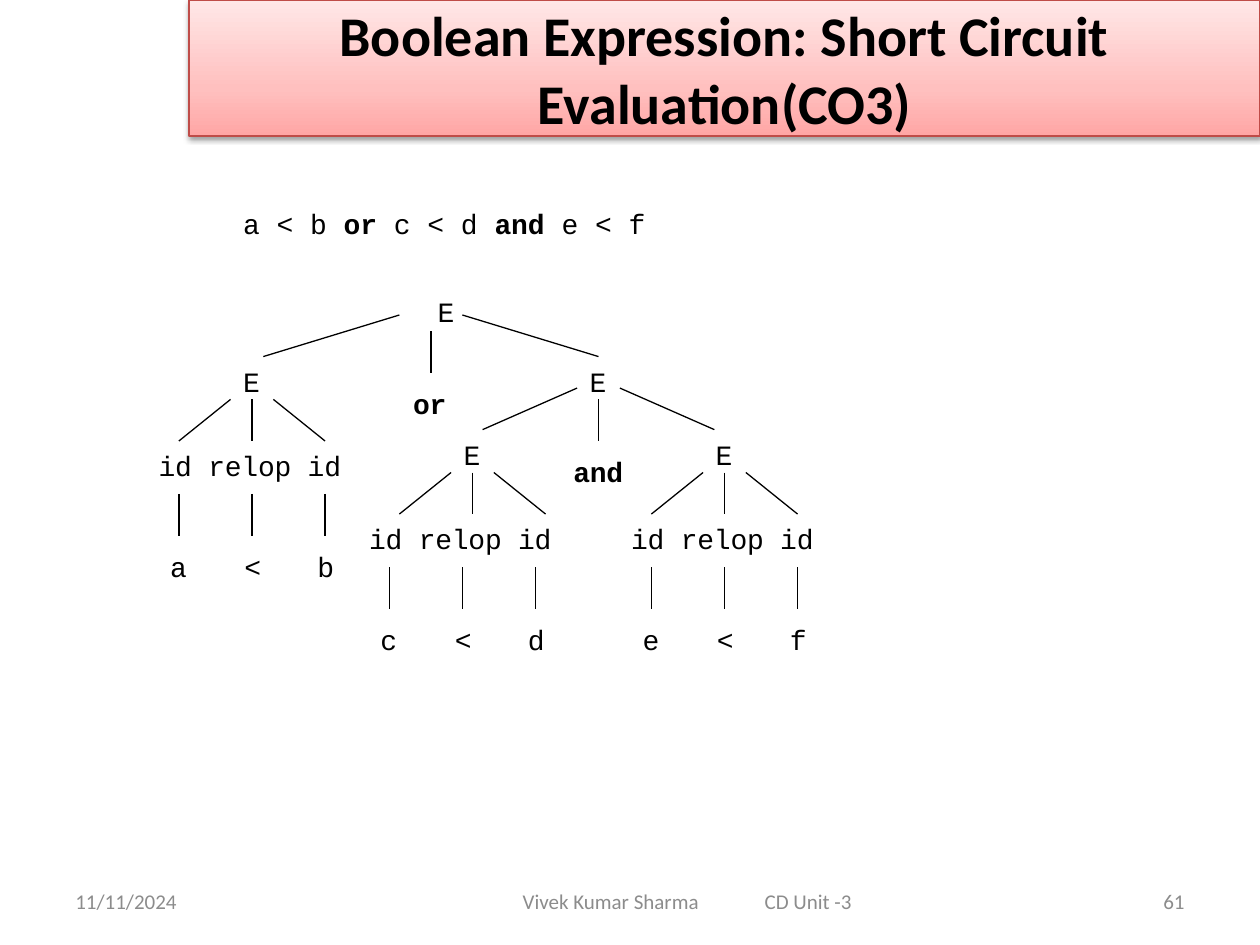
import copy
from dataclasses import dataclass

import lxml.etree
import pptx
import pptx.dml.color
import pptx.enum.shapes
import pptx.enum.text
import pptx.oxml.ns
import pptx.util

Inches = pptx.util.Inches
Pt = pptx.util.Pt
Align = pptx.enum.text.PP_ALIGN
Anchor = pptx.enum.text.MSO_ANCHOR
qn = pptx.oxml.ns.qn


@dataclass(frozen=True)
class Theme:
    """Colours, fonts and sizes of the slide."""
    ink: str = "000000"
    muted: str = "8C8C8C"
    title_line: str = "BF4C48"
    title_stops: tuple = ((0, "FFA6A5"), (0.35, "FFC0BF"), (1, "FFE7E7"))
    body_font: str = "Calibri"
    code_font: str = "Courier New"
    title_size: int = 32
    code_size: int = 16
    footer_size: int = 12
    line_width: float = 0.75


THEME = Theme()
EDGE_HEIGHT = 0.33
LABEL_HEIGHT = 0.29


def rgb(value):
    """Return a colour from its hex digits."""
    return pptx.dml.color.RGBColor.from_string(value)


def add_span(para, text, font, size, color, bold=False, tight=False):
    """Append one formatted run to a paragraph."""
    span = para.add_run()
    span.text = text
    span.font.name = font
    span.font.size = Pt(size)
    span.font.bold = bold
    span.font.color.rgb = rgb(color)
    if tight:
        span._r.get_or_add_rPr().set("spc", "-10")


def add_tabs(para, stops):
    """Give a paragraph left tab stops, in inches."""
    tabs = lxml.etree.SubElement(para._p.get_or_add_pPr(), qn("a:tabLst"))
    for stop in stops:
        lxml.etree.SubElement(tabs, qn("a:tab"), pos=str(Inches(stop)), algn="l")


def add_box(slide, left, top, width, height):
    """Add a wrapping text box and return its text frame."""
    box = slide.shapes.add_textbox(Inches(left), Inches(top), Inches(width), Inches(height))
    box.text_frame.word_wrap = True
    return box.text_frame


def add_code_box(slide, left, top, width, height=LABEL_HEIGHT):
    """Add a text box with the narrow insets of the tree labels."""
    frame = add_box(slide, left, top, width, height)
    frame.margin_left, frame.margin_top = Inches(0.01), Inches(0.02)
    frame.margin_right = frame.margin_bottom = 0
    return frame


def add_code(para, text, bold=False, tight=False):
    """Append a run in the code style."""
    add_span(para, text, THEME.code_font, THEME.code_size, THEME.ink, bold, tight)


def add_label(slide, left, top, width, text, bold=False, tight=False, tabs=()):
    """Add a one-line tree label."""
    para = add_code_box(slide, left, top, width).paragraphs[0]
    if tabs:
        add_tabs(para, tabs)
    add_code(para, text, bold, tight)


def add_edge(slide, start_x, end_x, top):
    """Draw a tree edge of the common height, downward from top."""
    edge = slide.shapes.add_connector(
        pptx.enum.shapes.MSO_CONNECTOR.STRAIGHT,
        Inches(start_x), Inches(top), Inches(end_x), Inches(top + EDGE_HEIGHT))
    edge.line.color.rgb = rgb(THEME.ink)
    edge.line.width = Pt(THEME.line_width)
    lxml.etree.SubElement(edge._element.spPr, qn("a:effectLst"))


def add_branches(slide, centre, top, inner, outer, drop=0):
    """Draw the three edges from a node to its children."""
    for side in (-1, 1):
        add_edge(slide, centre + side * inner, centre + side * outer, top)
    add_edge(slide, centre, centre, top + drop)


def add_node(slide, centre, top):
    """Add an expression node centred on a column."""
    add_label(slide, centre - 0.08, top, 0.16, "E")


def add_comparison(slide, centre, top, operands, shift=0):
    """Add the subtree of one relational comparison."""
    spread = 0.58
    middle = centre + shift
    add_node(slide, centre, top)
    add_branches(slide, centre, top + 0.3, 0.17, spread)
    add_label(slide, middle - 0.75, top + 0.67, 1.49, "id relop id", tight=True)
    for column in (-1, 0, 1):
        add_edge(slide, middle + column * spread, middle + column * spread, top + 1.05)
    add_label(slide, middle - 0.66, top + 1.47, 1.33, "\t<\t".join(operands), tabs=(0.59, 1.17))


def add_expression(slide, left, top, width, height):
    """Add the expression and the root node below it."""
    frame = add_code_box(slide, left, top, width, height)
    pieces = (("a < b ", False), ("or ", True), ("c < d ", False), ("and ", True), ("e < f", False))
    for text, bold in pieces:
        add_code(frame.paragraphs[0], text, bold)
    root = frame.add_paragraph()
    root.alignment = Align.CENTER
    root.space_before = Pt(31)
    add_code(root, "E")


def add_tree(slide, left, top):
    """Add the parse tree whose first branch starts at the given corner."""
    add_branches(slide, left + 2.17, top, 0.25, 1.33, 0.13)
    add_label(slide, left + 2.02, top + 0.55, 0.3, "or", True, True)
    add_comparison(slide, left + 0.75, top + 0.37, "ab")
    add_node(slide, left + 3.5, top + 0.37)
    add_branches(slide, left + 3.5, top + 0.58, 0.17, 0.92, 0.09)
    add_label(slide, left + 3.29, top + 1.09, 0.43, "and", True, True)
    add_comparison(slide, left + 2.5, top + 0.95, "cd", shift=-0.08)
    add_comparison(slide, left + 4.5, top + 0.95, "ef")


def add_title(slide, left, top, width, height):
    """Place and style the title banner."""
    title = slide.shapes.title
    title.left, title.top = Inches(left), Inches(top)
    title.width, title.height = Inches(width), Inches(height)
    title.fill.gradient()
    title.fill.gradient_angle = 90
    stop_list = title._element.spPr.find(".//" + qn("a:gsLst"))
    stop_list.append(copy.deepcopy(stop_list[-1]))
    for stop, (position, color) in zip(title.fill.gradient_stops, THEME.title_stops):
        stop.position = position
        stop.color.rgb = rgb(color)
    title.line.color.rgb = rgb(THEME.title_line)
    title.line.width = Pt(THEME.line_width)
    effects = lxml.etree.SubElement(title._element.spPr, qn("a:effectLst"))
    shadow = lxml.etree.SubElement(
        effects, qn("a:outerShdw"), blurRad=str(Pt(3.1)), dist=str(Pt(1.6)),
        dir="5400000", rotWithShape="0")
    color = lxml.etree.SubElement(shadow, qn("a:srgbClr"), val=THEME.ink)
    lxml.etree.SubElement(color, qn("a:alpha"), val="38000")
    frame = title.text_frame
    frame.word_wrap = True
    frame.auto_size = pptx.enum.text.MSO_AUTO_SIZE.NONE
    frame.vertical_anchor = Anchor.MIDDLE
    para = frame.paragraphs[0]
    para.alignment = Align.CENTER
    for text, tight in (("Boolean Expression: Short Circuit Evaluation", False), ("(CO3)", True)):
        add_span(para, text, THEME.body_font, THEME.title_size, THEME.ink, True, tight)


def add_footer(slide, left, top, width, height):
    """Add the date, the author with the unit, and the slide number."""
    side = 2.33
    parts = ((left, side, "11/11/2024", Align.LEFT, ()),
             (left + 3.55, 3.45, "Vivek Kumar Sharma\tCD Unit -3", Align.LEFT, (1.92,)),
             (left + width - side, side, "61", Align.RIGHT, ()))
    for part_left, part_width, text, alignment, tabs in parts:
        frame = add_box(slide, part_left, top, part_width, height)
        frame.vertical_anchor = Anchor.MIDDLE
        para = frame.paragraphs[0]
        para.alignment = alignment
        if tabs:
            add_tabs(para, tabs)
        add_span(para, text, THEME.body_font, THEME.footer_size, THEME.muted)


def main():
    """Build and save the deck."""
    deck = pptx.Presentation()
    deck.slide_width, deck.slide_height = Inches(10), Inches(7.5)
    page = deck.slides.add_slide(deck.slide_layouts.get_by_name("Title Only"))
    add_title(page, 1.5, 0, 8.5, 1.08)
    add_expression(page, 1.92, 1.62, 3.23, 0.96)
    add_tree(page, 1.25, 2.5)
    add_footer(page, 0.5, 6.95, 9, 0.4)
    deck.save("out.pptx")


if __name__ == "__main__":
    main()
